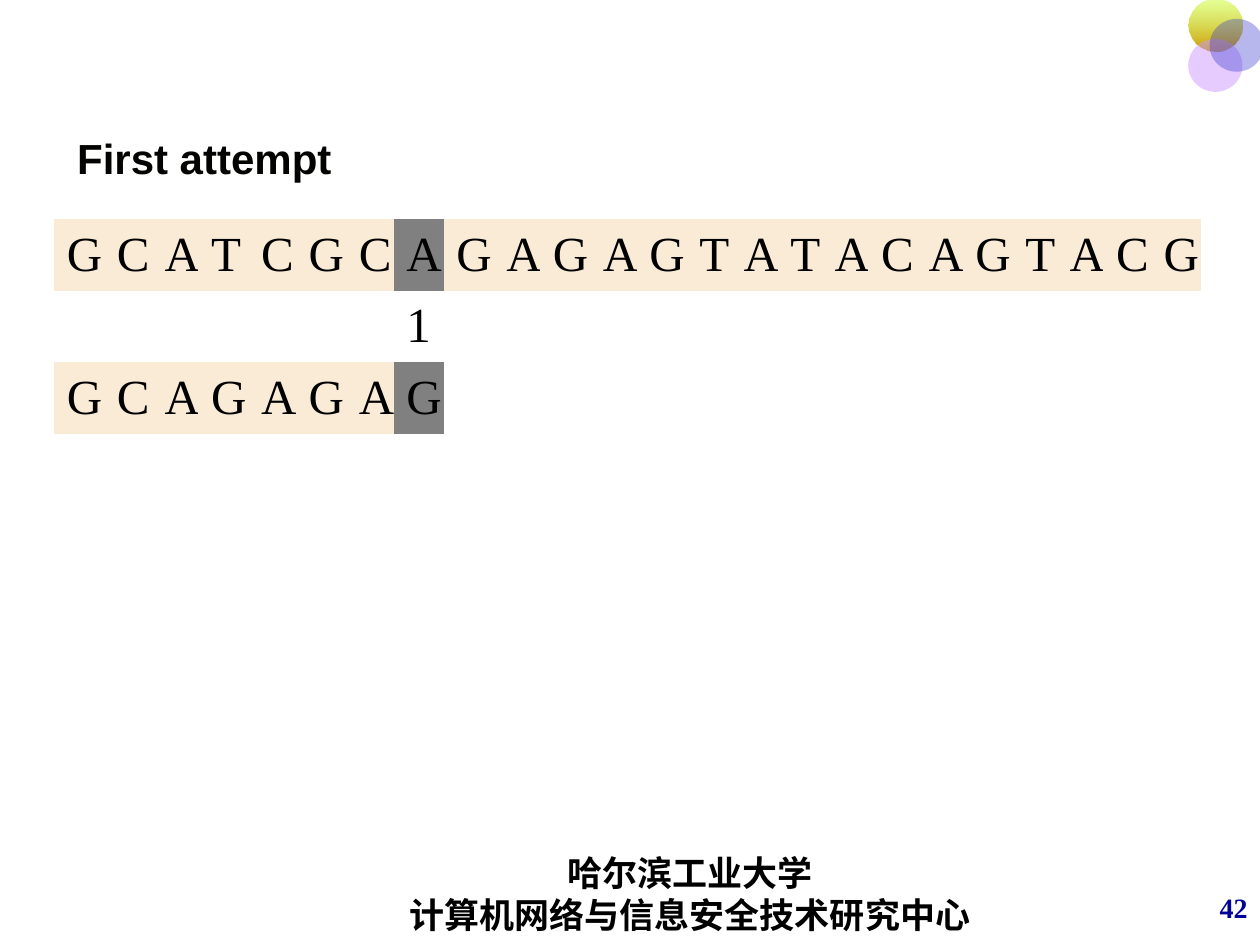
from pptx import Presentation
from pptx.dml.color import RGBColor as Rgb
from pptx.enum.shapes import MSO_SHAPE as Shape
from pptx.enum.text import MSO_ANCHOR as Anchor, PP_ALIGN as Align
from pptx.oxml.ns import qn
from pptx.util import Pt
from lxml.etree import SubElement

COLORS = {
    "ink": "000000", "title": "030301", "number": "000099",
    "base": "FAEBD7", "compared": "808080", "plain": "FFFFFF",
    "lime": "CCFF33", "gold": "CC9900", "lilac": "CC99FF", "indigo": "3333CC",
}
SERIF, SANS = "Times New Roman", "Arial"
NO_GRID = "{2D5ABB26-0587-4C30-8999-92F81FD0307C}"

TEXT = "GCATCGCAGAGAGTATACAGTACG"
PATTERN = "GCAGAGAG"
COMPARED = len(PATTERN) - 1
LETTER_WIDTH = {"G": 28.6, "C": 27.25, "A": 26.6, "T": 25.3}
ROW_HEIGHT = 40.8


def color(name):
    return Rgb.from_string(COLORS[name])


def style(font, ink, **values):
    for key, value in values.items():
        setattr(font, key, value)
    font.color.rgb = color(ink)


def add_text(page, place, lines, align, ink, **values):
    box = page.shapes.add_textbox(*map(Pt, place))
    frame = box.text_frame
    frame.word_wrap = True
    frame.vertical_anchor = Anchor.MIDDLE
    for index, line in enumerate(lines):
        para = frame.add_paragraph() if index else frame.paragraphs[0]
        para.alignment = align
        span = para.add_run()
        span.text = line
        style(span.font, ink, **values)


def set_alpha(element, percent):
    rgb = next(element.iter(qn("a:srgbClr")))
    SubElement(rgb, qn("a:alpha")).set("val", str(percent * 1000))


def add_circle(group, left, top):
    circle = group.shapes.add_shape(Shape.OVAL, *map(Pt, (left, top, 31, 30.2)))
    circle.shadow.inherit = False
    circle.line.fill.background()
    return circle


def add_ornament(page):
    group = page.shapes.add_group_shape()

    # Gradient circle, half clear at the top
    circle = add_circle(group, 679, -0.7)
    circle.fill.gradient()
    circle.fill.gradient_angle = 270
    for stop, name in zip(circle.fill.gradient_stops, ("lime", "gold")):
        stop.color.rgb = color(name)
    set_alpha(circle.element.spPr, 50)

    # Plain translucent circles
    for left, top, name, percent in ((679, 22.3, "lilac", 50), (691.2, 10.8, "indigo", 35)):
        circle = add_circle(group, left, top)
        circle.fill.solid()
        circle.fill.fore_color.rgb = color(name)
        set_alpha(circle.element.spPr, percent)


def fill_cell(cell, fill, letter=""):
    cell.vertical_anchor = Anchor.MIDDLE
    cell.fill.solid()
    cell.fill.fore_color.rgb = color(fill)
    if letter:
        cell.text = letter
        span = cell.text_frame.paragraphs[0].runs[0]
        style(span.font, "ink", name=SERIF, size=Pt(28))


def add_alignment_table(page):
    # Each column is as wide as its widest letter
    widths = [LETTER_WIDTH[letter] for letter in TEXT]
    for index, letter in enumerate(PATTERN):
        widths[index] = max(widths[index], LETTER_WIDTH[letter])

    frame = page.shapes.add_table(
        3, len(TEXT), Pt(31), Pt(125.2), Pt(sum(widths)), Pt(3 * ROW_HEIGHT))
    table = frame.table
    table.first_row = table.horz_banding = False
    table._tbl.tblPr.find(qn("a:tableStyleId")).text = NO_GRID
    for column, width in zip(table.columns, widths):
        column.width = Pt(width)
    for row in table.rows:
        row.height = Pt(ROW_HEIGHT)

    # Text above, pattern below, compared column in grey
    for row, letters in ((0, TEXT), (2, PATTERN)):
        for index, letter in enumerate(letters):
            fill = "compared" if index == COMPARED else "base"
            fill_cell(table.cell(row, index), fill, letter)

    # Comparison number and the merged empty areas
    fill_cell(table.cell(1, COMPARED), "plain", "1")
    last = len(TEXT) - 1
    for row, start, end in ((1, 0, COMPARED - 1), (1, COMPARED + 1, last), (2, COMPARED + 1, last)):
        table.cell(row, start).merge(table.cell(row, end))
        fill_cell(table.cell(row, start), "plain")


def main():
    deck = Presentation()
    deck.slide_width, deck.slide_height = Pt(720), Pt(540)
    page = deck.slides.add_slide(deck.slide_layouts[6])

    # Page furniture
    add_text(page, (664, 500.4, 56, 36), ["42"], Align.RIGHT, "number",
             name=SERIF, size=Pt(16), bold=True)
    add_text(page, (184.3, 485.3, 419.8, 51), ["哈尔滨工业大学", "计算机网络与信息安全技术研究中心"],
             Align.CENTER, "ink", name=SERIF, size=Pt(20), bold=True)
    add_ornament(page)

    # Heading and alignment
    add_text(page, (37, 72, 165, 36), ["First attempt"], Align.LEFT, "title",
             name=SANS, size=Pt(24), bold=True)
    add_alignment_table(page)

    deck.save("out.pptx")


if __name__ == "__main__":
    main()
